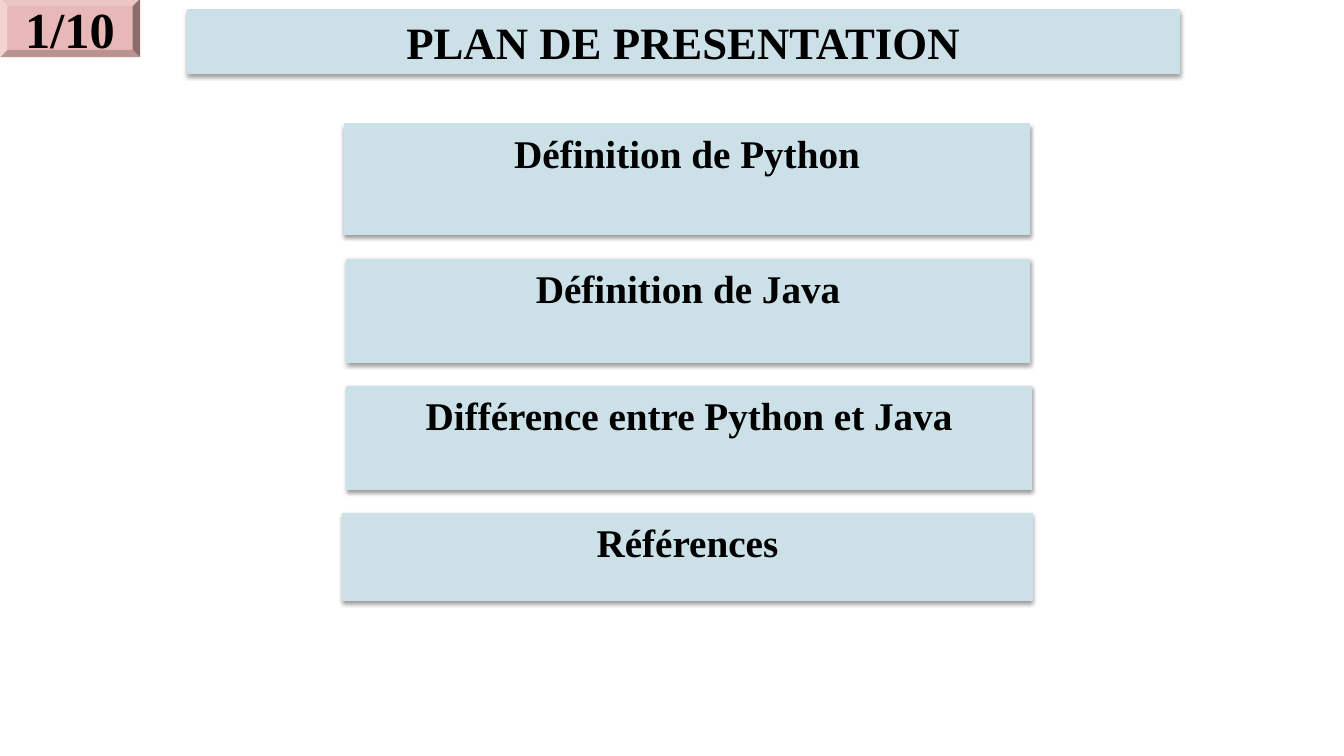
from lxml.etree import SubElement
from pptx import Presentation
from pptx.dml.color import RGBColor
from pptx.enum.shapes import MSO_SHAPE
from pptx.enum.text import MSO_ANCHOR, PP_ALIGN
from pptx.oxml.ns import qn
from pptx.util import Cm, Pt

PALE_BLUE = "CBE1E7"
PINK = "E8B7B7"
BLACK = "000000"

# Topic, then left, top, width and height in centimetres
TOPICS = [
    ("Définition de Python", 8.69, 3.12, 17.25, 2.8),
    ("Définition de Java", 8.74, 6.53, 17.2, 2.6),
    ("Différence entre Python et Java", 8.74, 9.73, 17.25, 2.6),
    ("Références", 8.64, 12.93, 17.37, 2.2),
]


def color(hex_code):
    return RGBColor.from_string(hex_code)


def write_text(shape, text, size, anchor=MSO_ANCHOR.TOP, margin=None,
               space_before=0, wrap=True):
    """Write one bold centred line; margin is in centimetres."""
    frame = shape.text_frame
    frame.word_wrap = wrap
    frame.vertical_anchor = anchor
    if margin is not None:
        frame.margin_left = frame.margin_right = Cm(margin)
        frame.margin_top = frame.margin_bottom = Cm(margin)
    paragraph = frame.paragraphs[0]
    paragraph.alignment = PP_ALIGN.CENTER
    paragraph.space_before = Pt(space_before)
    run = paragraph.add_run()
    run.text = text
    run.font.name = "Times New Roman"
    run.font.size = Pt(size)
    run.font.bold = True
    run.font.color.rgb = color(BLACK)


def add_filled_shape(slide, kind, box, fill):
    shape = slide.shapes.add_shape(kind, *(Cm(length) for length in box))
    shape.shadow.inherit = False
    shape.fill.solid()
    shape.fill.fore_color.rgb = color(fill)
    return shape


def add_drop_shadow(shape):
    effects = shape._element.spPr.find(qn("a:effectLst"))
    shadow = SubElement(effects, qn("a:outerShdw"), blurRad="40000",
                        dist="20000", dir="5400000", rotWithShape="0")
    tint = SubElement(shadow, qn("a:srgbClr"), val=BLACK)
    SubElement(tint, qn("a:alpha"), val="38000")


def add_banner(slide, text, box, size):
    banner = add_filled_shape(slide, MSO_SHAPE.RECTANGLE, box, PALE_BLUE)
    banner.line.color.rgb = color(PALE_BLUE)
    banner.line.width = Pt(0.75)
    add_drop_shadow(banner)
    write_text(banner, text, size, margin=0.13, space_before=4)


def add_page_badge(slide, text, box):
    badge = add_filled_shape(slide, MSO_SHAPE.BEVEL, box, PINK)
    badge.line.fill.background()
    write_text(badge, text, 36, anchor=MSO_ANCHOR.MIDDLE, wrap=False)


def main():
    presentation = Presentation()
    presentation.slide_width = Cm(33.87)
    presentation.slide_height = Cm(19.05)
    slide = presentation.slides.add_slide(presentation.slide_layouts[6])

    add_banner(slide, "PLAN DE PRESENTATION", (4.72, 0.25, 25, 1.6), 32)
    for topic, *box in TOPICS:
        add_banner(slide, topic, box, 28)
    add_page_badge(slide, "1/10", (0, -0.03, 3.53, 1.47))

    presentation.save("out.pptx")


if __name__ == "__main__":
    main()
